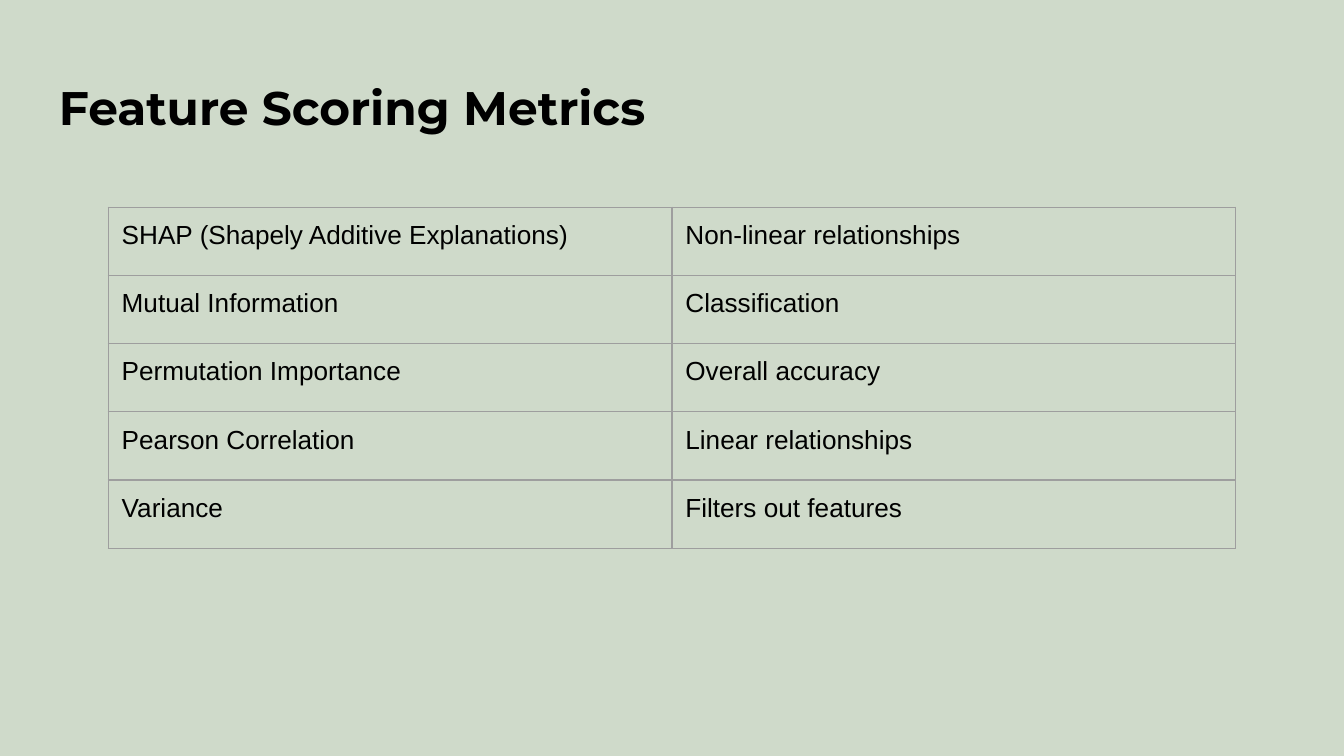
import lxml.etree
import pptx
import pptx.dml.color
import pptx.enum.text
import pptx.oxml.ns
import pptx.util

Pt = pptx.util.Pt
qn = pptx.oxml.ns.qn
RGBColor = pptx.dml.color.RGBColor

SAGE = RGBColor(0xCF, 0xDA, 0xCA)
BLACK = RGBColor(0x00, 0x00, 0x00)
GREY = RGBColor(0x9E, 0x9E, 0x9E)
INSET = Pt(7.2)

METRICS = [
    ("SHAP (Shapely Additive Explanations)", "Non-linear relationships"),
    ("Mutual Information", "Classification"),
    ("Permutation Importance", "Overall accuracy"),
    ("Pearson Correlation", "Linear relationships"),
    ("Variance", "Filters out features"),
]


def set_font(p, name, size, bold=False):
    """Style all the text of a paragraph."""
    p.font.name = name
    p.font.size = Pt(size)
    p.font.bold = bold
    p.font.color.rgb = BLACK


def set_margins(box):
    """Give a text frame or cell the same inset on every side."""
    box.margin_left = box.margin_right = INSET
    box.margin_top = box.margin_bottom = INSET


def set_borders(cell, color, width):
    """Draw a solid line on all four sides of a cell."""
    tc_pr = cell._tc.get_or_add_tcPr()
    for side in ("a:lnL", "a:lnR", "a:lnT", "a:lnB"):
        ln = lxml.etree.SubElement(tc_pr, qn(side), w=str(Pt(width)))
        fill = lxml.etree.SubElement(ln, qn("a:solidFill"))
        lxml.etree.SubElement(fill, qn("a:srgbClr"), val=str(color))


def add_title(s, text, left, top, width, height):
    """Place the slide heading in the given box."""
    tf = s.shapes.add_textbox(Pt(left), Pt(top), Pt(width), Pt(height)).text_frame
    tf.word_wrap = True
    tf.vertical_anchor = pptx.enum.text.MSO_ANCHOR.TOP
    set_margins(tf)
    p = tf.paragraphs[0]
    p.text = text
    set_font(p, "Montserrat", 25.2, bold=True)


def add_metrics_table(s, rows, left, top, width, height):
    """Fill the given box with an evenly divided table of metrics."""
    columns = len(rows[0])
    frame = s.shapes.add_table(
        len(rows), columns, Pt(left), Pt(top), Pt(width), Pt(height))
    table = frame.table
    table.first_row = table.horz_banding = False
    for column in table.columns:
        column.width = Pt(width / columns)
    for row, texts in zip(table.rows, rows):
        row.height = Pt(height / len(rows))
        for cell, text in zip(row.cells, texts):
            set_margins(cell)
            set_borders(cell, GREY, 0.75)
            cell.fill.background()
            p = cell.text_frame.paragraphs[0]
            p.text = text
            set_font(p, "Arial", 14)


def main():
    """Build the slide and save it."""
    prs = pptx.Presentation()
    prs.slide_width, prs.slide_height = Pt(720), Pt(405)
    s = prs.slides.add_slide(prs.slide_layouts[6])
    s.background.fill.solid()
    s.background.fill.fore_color.rgb = SAGE
    add_title(s, "Feature Scoring Metrics", 24.5, 35, 671, 45)
    add_metrics_table(s, METRICS, 58, 111, 604, 182.75)
    prs.save("out.pptx")


if __name__ == "__main__":
    main()
